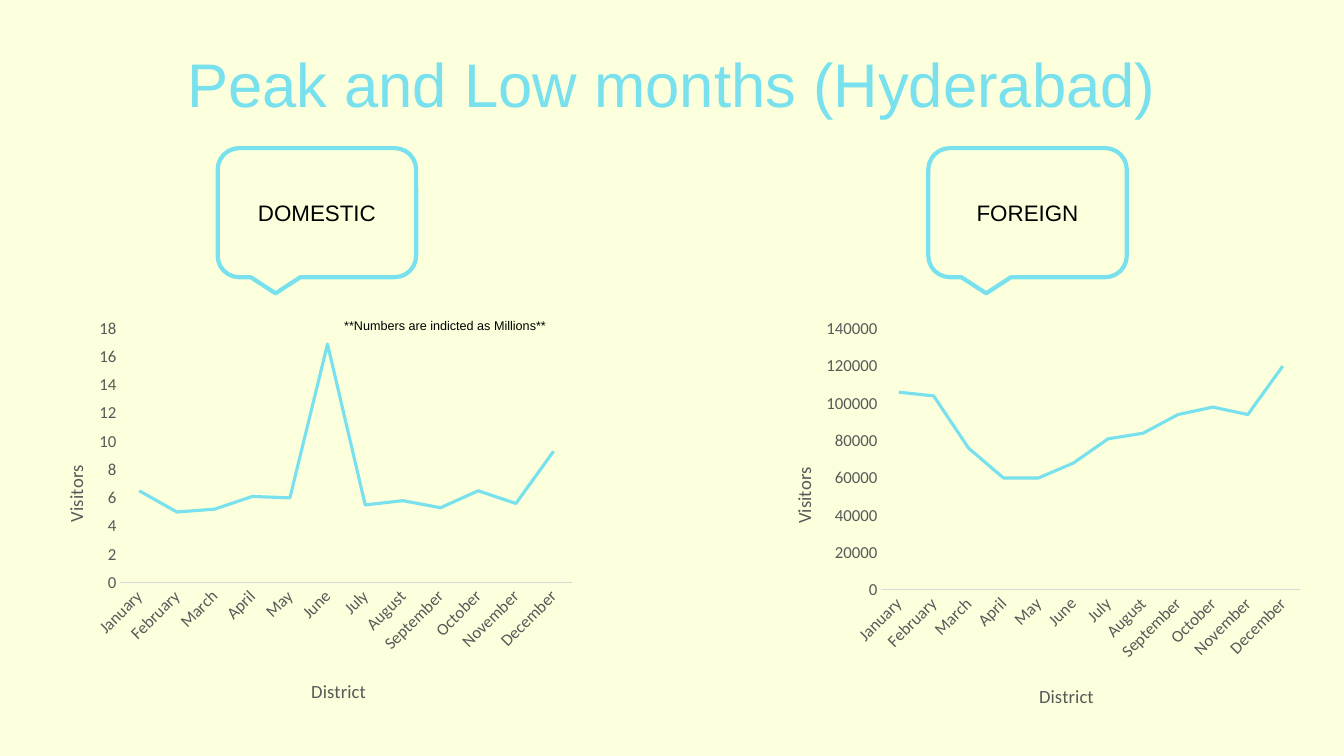
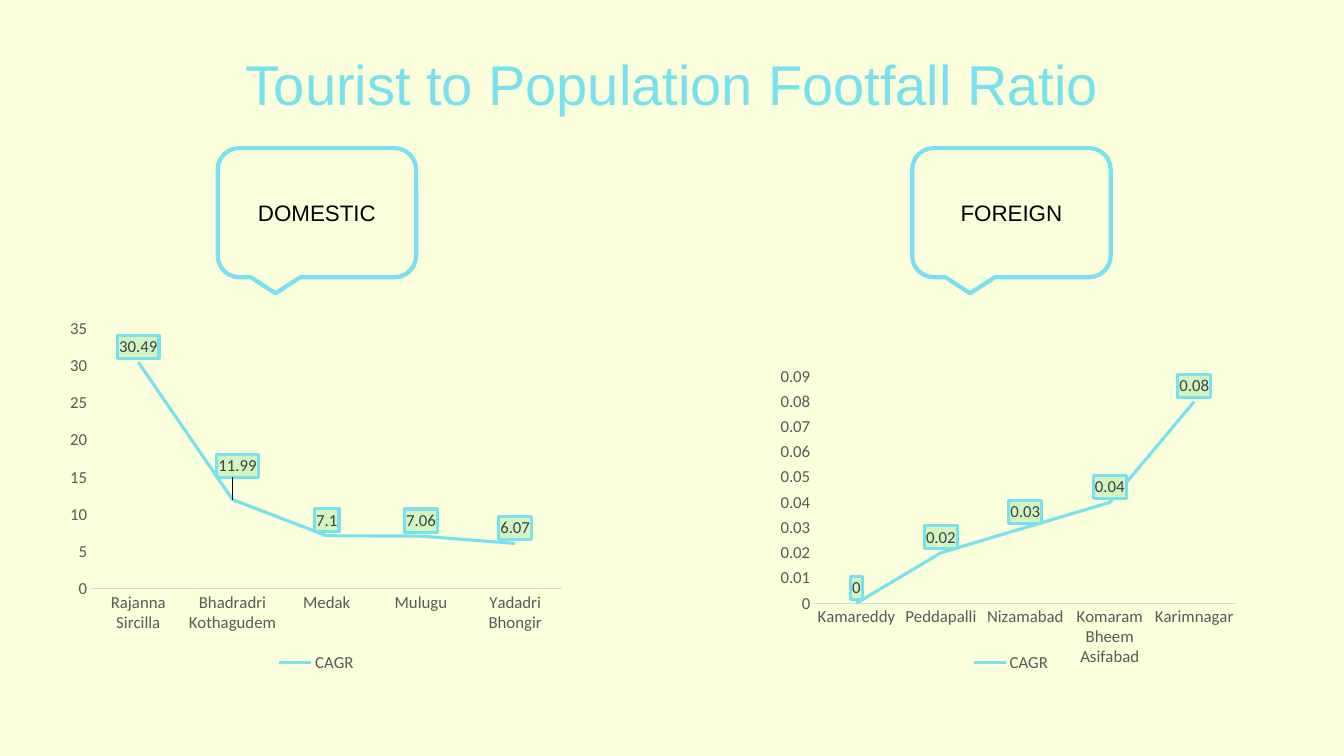
from dataclasses import dataclass

from lxml import etree
from pptx import Presentation
from pptx import util as u
from pptx.chart import data as cd
from pptx.dml.color import RGBColor
from pptx.enum import chart as ec, shapes, text
from pptx.oxml import parse_xml
from pptx.oxml.ns import nsdecls, qn

Pt = u.Pt
CREAM = RGBColor(0xFB, 0xFF, 0xDC)
AQUA = RGBColor(0x79, 0xE0, 0xEE)
MINT = RGBColor(0xD2, 0xF5, 0xC2)
BLACK = RGBColor(0, 0, 0)
INK = RGBColor(0x40, 0x40, 0x40)
GRAY = RGBColor(0x59, 0x59, 0x59)
RULE = RGBColor(0xD9, 0xD9, 0xD9)
HEAD = "Arial"
BODY = "Calibri"
MONTHS = ["January", "February", "March", "April", "May", "June", "July",
          "August", "September", "October", "November", "December"]


@dataclass(frozen=True)
class Box:
    x: float
    y: float
    w: float
    h: float

    def pts(self) -> list[u.Length]:
        return [Pt(v) for v in (self.x, self.y, self.w, self.h)]


@dataclass(frozen=True)
class Graph:
    """One callout and the line chart below it; plot is in chart fractions."""
    label: str
    left: float
    box: Box
    plot: Box
    cats: list[str]
    vals: list[float]
    top: float
    step: float
    name: str = "CAGR"
    monthly: bool = False
    moved: int | None = None


@dataclass(frozen=True)
class Page:
    title: str
    size: int
    graphs: list[Graph]
    note: str = ""


PAGES = [
    Page("Peak and Low months (Hyderabad)", 44, [
        Graph("DOMESTIC", 155.5, Box(23, 223.2, 393.8, 288),
              Box(0.16, 0.04, 0.82, 0.63), MONTHS,
              [6.5, 5, 5.2, 6.1, 6, 16.9, 5.5, 5.8, 5.3, 6.5, 5.6, 9.3],
              18, 2, "Series 1", True),
        Graph("FOREIGN", 663.1, Box(542.9, 223.2, 393.8, 291.6),
              Box(0.22, 0.04, 0.76, 0.64), MONTHS,
              [106000, 104000, 76000, 60000, 60000, 68000,
               81000, 84000, 94000, 98000, 94000, 120000],
              140000, 20000, "Series 1", True),
    ], "**Numbers are indicted as Millions**"),
    Page("Tourist to Population Footfall Ratio", 40, [
        Graph("DOMESTIC", 155.5, Box(43.2, 221.8, 365.8, 261.4),
              Box(0.06, 0.05, 0.92, 0.71),
              ["Rajanna Sircilla", "Bhadradri Kothagudem", "Medak",
               "Mulugu", "Yadadri Bhongir"],
              [30.49, 11.99, 7.1, 7.06, 6.07], 35, 5, moved=1),
        Graph("FOREIGN", 651.6, Box(550.8, 221.8, 342.7, 261.4),
              Box(0.09, 0.18, 0.88, 0.62),
              ["Kamareddy", "Peddapalli", "Nizamabad",
               "Komaram Bheem Asifabad", "Karimnagar"],
              [0, 0.02, 0.03, 0.04, 0.08], 0.09, 0.01),
    ]),
]


def style(font, size: float, color: RGBColor, face: str) -> None:
    font.size, font.name, font.bold = Pt(size), face, False
    font.color.rgb = color


def write(frame, words: str, size: float, color: RGBColor):
    frame.word_wrap = True
    frame.vertical_anchor = text.MSO_ANCHOR.MIDDLE
    para = frame.paragraphs[0]
    para.text = words
    para.alignment = text.PP_ALIGN.CENTER
    style(para.font, size, color, HEAD)
    return para


def place(node: etree._Element, at: int, x: float, y: float,
          size: tuple[float, float] | None = None,
          edge: bool = True) -> None:
    """Give a chart part a manual layout; edge=False makes x, y an offset."""
    for old in node.findall(qn("c:layout")):
        node.remove(old)
    tags = []
    if size:
        tags.append(("layoutTarget", "inner"))
    if edge:
        tags += [("xMode", "edge"), ("yMode", "edge")]
    tags += [("x", x), ("y", y)]
    if size:
        tags += zip("wh", size)
    body = "".join(f'<c:{tag} val="{val}"/>' for tag, val in tags)
    node.insert(at, parse_xml(
        f'<c:layout {nsdecls("c")}><c:manualLayout>{body}'
        '</c:manualLayout></c:layout>'))


def add_tags(chart, line, moved: int | None) -> None:
    """Show values in mint boxes, lifting the box of the moved point."""
    tags = [line.data_labels]
    tags[0].show_value = True
    if moved is not None:
        tags.append(line.points[moved].data_label)
    for tag in tags:
        style(tag.font, 12, INK, BODY)
        tag.position = ec.XL_LABEL_POSITION.ABOVE
    root = chart._element
    for node in root.xpath(".//c:dLbl"):
        place(node, 1, 0.01, -0.05, edge=False)
    for node in root.xpath(".//c:dLbls//c:txPr"):
        node.addprevious(parse_xml(
            f'<c:spPr {nsdecls("c", "a")}>'
            f'<a:solidFill><a:srgbClr val="{MINT}"/></a:solidFill>'
            f'<a:ln w="{Pt(2.25)}"><a:solidFill><a:srgbClr val="{AQUA}"/>'
            '</a:solidFill></a:ln></c:spPr>'))


def add_names(chart) -> None:
    names = ((chart.category_axis, "District", 0.5, 0.9),
             (chart.value_axis, "Visitors", 0.05, 0.37))
    for axis, words, x, y in names:
        frame = axis.axis_title.text_frame
        frame.text = words
        style(frame.paragraphs[0].font, 13.3, GRAY, BODY)
        place(axis.axis_title._element, 1, x, y)
    for turn in chart._element.xpath(".//c:catAx/c:txPr/a:bodyPr"):
        turn.set("rot", "-2700000")


def add_graph(slide, graph: Graph) -> None:
    data = cd.CategoryChartData()
    data.categories = graph.cats
    data.add_series(graph.name, graph.vals)
    chart = slide.shapes.add_chart(
        ec.XL_CHART_TYPE.LINE, *graph.box.pts(), data).chart
    chart.has_title = False
    chart.has_legend = not graph.monthly
    style(chart.font, 10, BLACK, BODY)
    plot = chart.plots[0]
    plot.vary_by_categories = False
    line = plot.series[0]
    line.smooth = False
    line.format.line.color.rgb = AQUA
    line.format.line.width = Pt(2.25)

    base, scale = chart.category_axis, chart.value_axis
    for axis in (base, scale):
        axis.has_major_gridlines = False
        axis.major_tick_mark = axis.minor_tick_mark = ec.XL_TICK_MARK.NONE
        style(axis.tick_labels.font, 12, GRAY, BODY)
    base.format.line.color.rgb = RULE
    base.format.line.width = Pt(0.75)
    scale.format.line.fill.background()
    scale.minimum_scale, scale.maximum_scale = 0, graph.top
    scale.major_unit = graph.step

    area = graph.plot
    place(chart._element.xpath(".//c:plotArea")[0], 0,
          area.x, area.y, (area.w, area.h))
    if graph.monthly:
        add_names(chart)
    else:
        key = chart.legend
        key.position = ec.XL_LEGEND_POSITION.BOTTOM
        key.include_in_layout = False
        style(key.font, 12, GRAY, BODY)
        add_tags(chart, line, graph.moved)


def add_bubble(slide, words: str, left: float) -> None:
    shape = slide.shapes.add_shape(
        shapes.MSO_SHAPE.ROUNDED_RECTANGULAR_CALLOUT,
        *Box(left, 105.8, 141.8, 92.2).pts())
    shape.shadow.inherit = False
    shape.fill.background()
    shape.line.color.rgb = AQUA
    shape.line.width = Pt(3)
    write(shape.text_frame, words, 16, BLACK)


def add_page(deck, page: Page) -> None:
    slide = deck.slides.add_slide(deck.slide_layouts.get_by_name("Title Only"))
    title = slide.shapes.title
    title.left, title.top, title.width, title.height = Box(
        66, 28.8, 828, 67).pts()
    write(title.text_frame, page.title, page.size, AQUA).line_spacing = 0.9
    for graph in page.graphs:
        add_graph(slide, graph)
        add_bubble(slide, graph.label, graph.left)
    if page.note:
        note = slide.shapes.add_textbox(*Box(202.3, 223.2, 231.1, 18).pts())
        write(note.text_frame, page.note, 9, BLACK)


def main() -> None:
    deck = Presentation()
    deck.slide_width, deck.slide_height = Pt(960), Pt(540)
    back = deck.slide_master.background.fill
    back.solid()
    back.fore_color.rgb = CREAM
    for page in PAGES:
        add_page(deck, page)
    deck.save("out.pptx")


if __name__ == "__main__":
    main()
